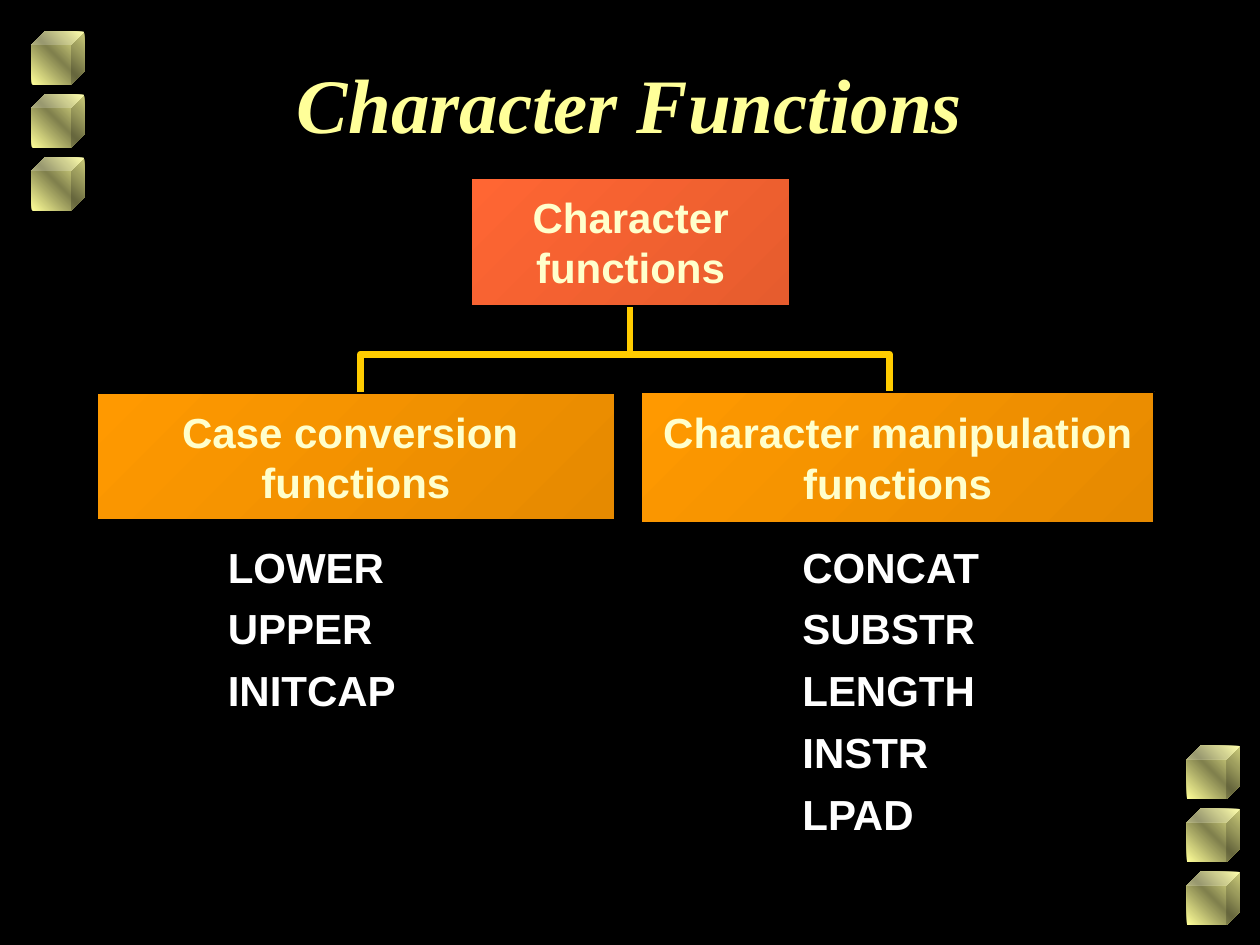
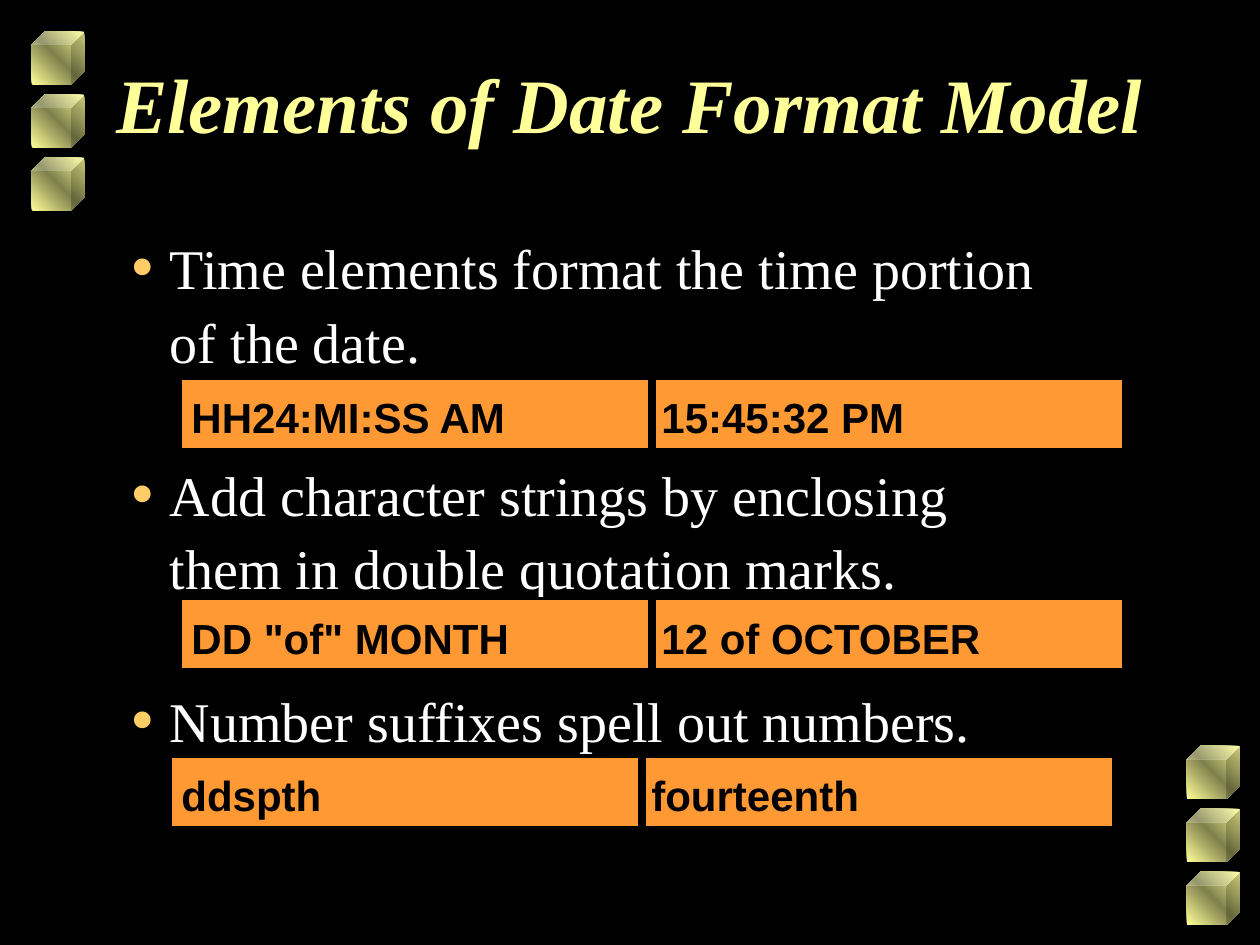
from copy import deepcopy

from lxml.etree import SubElement
from pptx import Presentation
from pptx.dml.color import RGBColor
from pptx.enum.shapes import MSO_CONNECTOR, MSO_SHAPE
from pptx.enum.text import MSO_ANCHOR, PP_ALIGN
from pptx.oxml.ns import qn
from pptx.util import Inches, Pt

BLACK, WHITE = "000000", "FFFFFF"
PALE_YELLOW, CREAM, GOLD = "FFFF99", "FFFFCC", "FFCC00"
HEADING_FONT, LABEL_FONT = "Times New Roman", "Arial"


def paint(color_format, hex_color):
    """Set a color format from a hex string."""
    color_format.rgb = RGBColor.from_string(hex_color)


def write(paragraph, text, font_name, size, hex_color, bold=True):
    """Add one formatted run to a paragraph and return its font."""
    run = paragraph.add_run()
    run.text = text
    run.font.name, run.font.size, run.font.bold = font_name, Pt(size), bold
    paint(run.font.color, hex_color)
    return run.font


prs = Presentation()
prs.slide_width, prs.slide_height = Inches(10), Inches(7.5)
layout = prs.slide_layouts[5]
layout.background.fill.solid()
paint(layout.background.fill.fore_color, BLACK)

# Both slides: centred italic title
slides = []
for heading in ("Character Functions", "Elements of Date Format Model"):
    slide = prs.slides.add_slide(layout)
    title = slide.shapes.title
    title.left, title.top = Inches(0.75), Inches(0.33)
    title.width, title.height = Inches(8.5), Inches(1.25)
    frame = title.text_frame
    frame.vertical_anchor = MSO_ANCHOR.TOP
    frame.margin_top = Inches(0.12)
    frame.paragraphs[0].alignment = PP_ALIGN.CENTER
    write(frame.paragraphs[0], heading, HEADING_FONT, 44, PALE_YELLOW).italic = True
    slides.append(slide)
functions_slide, dates_slide = slides

# Cubes in two corners, moved to the layout so that both slides share them
for left, first_top in ((0.25, 0.25), (9.42, 5.92)):
    for step in range(3):
        cube = functions_slide.shapes.add_shape(
            MSO_SHAPE.CUBE, Inches(left), Inches(first_top + 0.5 * step),
            Inches(0.42), Inches(0.42))
        cube.shadow.inherit = False
        cube.line.fill.background()
        cube.fill.gradient()
        cube.fill.gradient_angle = 45
        start, end = cube.fill.gradient_stops
        for stop, position, shade in ((start, 0, PALE_YELLOW), (end, 0.5, "80804D")):
            stop.position = position
            paint(stop.color, shade)
        stop_list = cube.element.spPr.find(qn("a:gradFill")).find(qn("a:gsLst"))
        stop_list.append(deepcopy(stop_list[0]))
        cube.fill.gradient_stops[2].position = 1
        layout.shapes.element.append(cube.element)

# Slide 1: tree of character functions
shapes = functions_slide.shapes
trunk = shapes.add_connector(
    MSO_CONNECTOR.STRAIGHT, Inches(5), Inches(2.79), Inches(5), Inches(2.44))
SubElement(trunk.element.spPr, qn("a:effectLst"))
outline = shapes.build_freeform(Inches(2.86), Inches(3.36), scale=1.0)
outline.add_line_segments(
    [(Inches(x), Inches(y)) for x, y in ((2.86, 2.81), (7.06, 2.81), (7.06, 3.4))],
    close=False)
branches = outline.convert_to_shape()
branches.shadow.inherit = False
branches.fill.background()
for link in (trunk, branches):
    paint(link.line.color, GOLD)
    link.line.width = Pt(4)

ORANGE = ("FF9900", "E68A00")
for left, top, width, height, shades, lines in (
    (3.74, 1.41, 2.53, 1.02, ("FF6633", "E65C2E"), ("Character", "functions")),
    (0.77, 3.12, 4.11, 1.01, ORANGE, ("Case conversion ", "functions")),
    (5.09, 3.11, 4.07, 1.04, ORANGE, ("Character manipulation", "functions")),
):
    node = shapes.add_shape(
        MSO_SHAPE.RECTANGLE, Inches(left), Inches(top), Inches(width), Inches(height))
    node.shadow.inherit = False
    paint(node.line.color, BLACK)
    node.line.width = Pt(1)
    node.fill.gradient()
    node.fill.gradient_angle = 315
    for stop, position, shade in zip(node.fill.gradient_stops, (0, 1), shades):
        stop.position = position
        paint(stop.color, shade)
    frame = node.text_frame
    frame.word_wrap = False
    frame.vertical_anchor = MSO_ANCHOR.MIDDLE
    for index, line in enumerate(lines):
        paragraph = frame.add_paragraph() if index else frame.paragraphs[0]
        paragraph.alignment = PP_ALIGN.CENTER
        write(paragraph, line, LABEL_FONT, 24, CREAM)

for left, width, height, names in (
    (1.71, 1.53, 1.46, ("LOWER", "UPPER", "INITCAP")),
    (6.27, 1.63, 2.46, ("CONCAT", "SUBSTR", "LENGTH", "INSTR", "LPAD")),
):
    frame = shapes.add_textbox(
        Inches(left), Inches(4.29), Inches(width), Inches(height)).text_frame
    frame.word_wrap = False
    for index, name in enumerate(names):
        paragraph = frame.add_paragraph() if index else frame.paragraphs[0]
        paragraph.line_spacing = 0.9
        paragraph.space_before = Pt(9.5 if index else 0)
        write(paragraph, name, LABEL_FONT, 24, WHITE)

# Slide 2: bullets, each followed by a format and its result
shapes = dates_slide.shapes
frame = shapes.add_textbox(
    Inches(0.94), Inches(1.75), Inches(7.56), Inches(4.28)).text_frame
frame.word_wrap = True
for index, rule in enumerate((
    "Time elements format the time portion of the date.",
    "Add character strings by enclosing them in double quotation marks.",
    "Number suffixes spell out numbers.",
)):
    paragraph = frame.add_paragraph() if index else frame.paragraphs[0]
    paragraph.line_spacing = 1.1
    paragraph.space_before = Pt(45 if index else 0)
    write(paragraph, rule, HEADING_FONT, 32, WHITE, bold=False)
    properties = paragraph._p.get_or_add_pPr()
    properties.set("marL", str(Inches(0.31)))
    properties.set("indent", str(-Inches(0.31)))
    bullet_color = SubElement(properties, qn("a:buClr"))
    SubElement(bullet_color, qn("a:srgbClr"), val="FFCC66")
    SubElement(properties, qn("a:buSzPct"), val="125000")
    SubElement(properties, qn("a:buFont"), typeface=HEADING_FONT)
    SubElement(properties, qn("a:buChar"), char="\u2022")

for left, top, example in (
    (1.43, 3, ("HH24:MI:SS AM", "15:45:32 PM")),
    (1.43, 4.75, ('DD "of" MONTH', "12 of OCTOBER")),
    (1.35, 6, ("ddspth", "fourteenth")),
):
    for column, (text, inset) in enumerate(zip(example, (0.09, 0.06))):
        cell = shapes.add_shape(
            MSO_SHAPE.RECTANGLE, Inches(left + 3.76 * column), Inches(top),
            Inches(3.73), Inches(0.57))
        cell.shadow.inherit = False
        cell.fill.solid()
        paint(cell.fill.fore_color, "FF9933")
        paint(cell.line.color, BLACK)
        cell.line.width = Pt(2)
        frame = cell.text_frame
        frame.vertical_anchor = MSO_ANCHOR.TOP
        frame.margin_left, frame.margin_top = Inches(inset), Inches(0.11)
        frame.margin_bottom = Inches(0)
        frame.paragraphs[0].alignment = PP_ALIGN.LEFT
        write(frame.paragraphs[0], text, LABEL_FONT, 24, BLACK)

prs.save("out.pptx")
